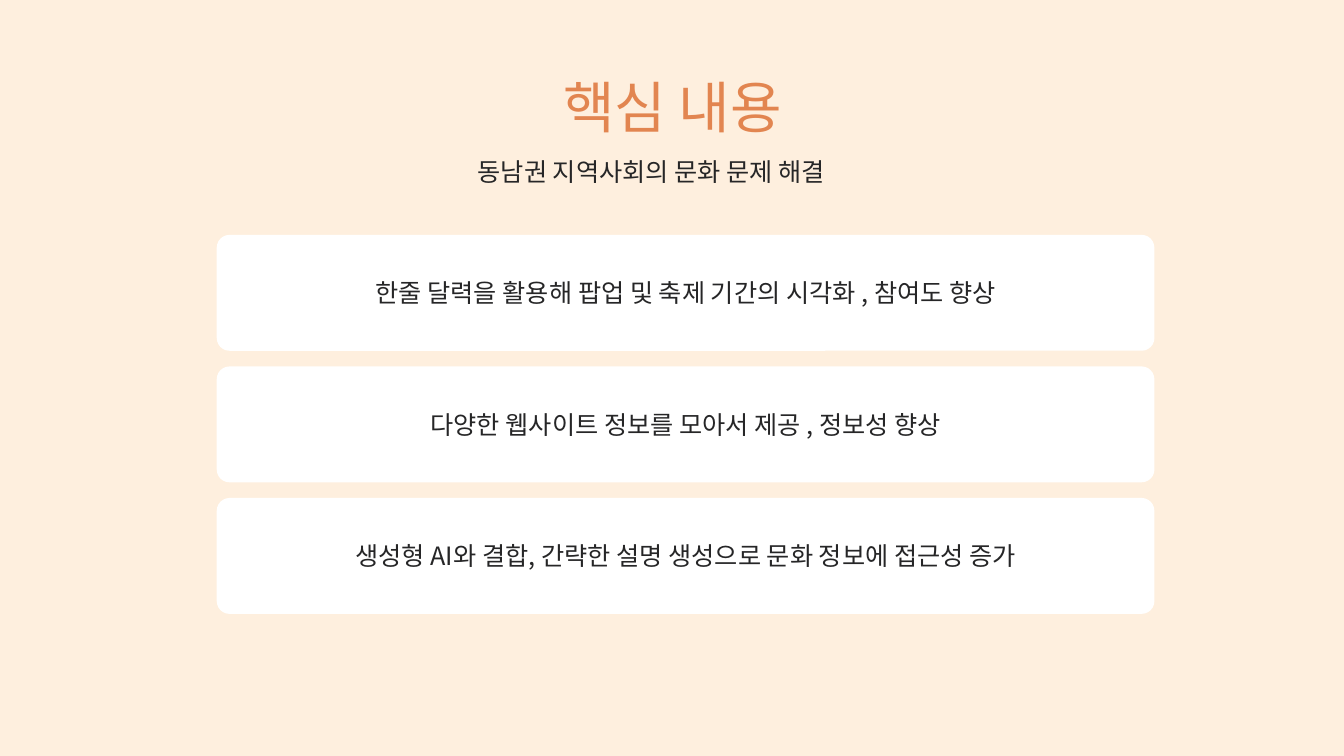
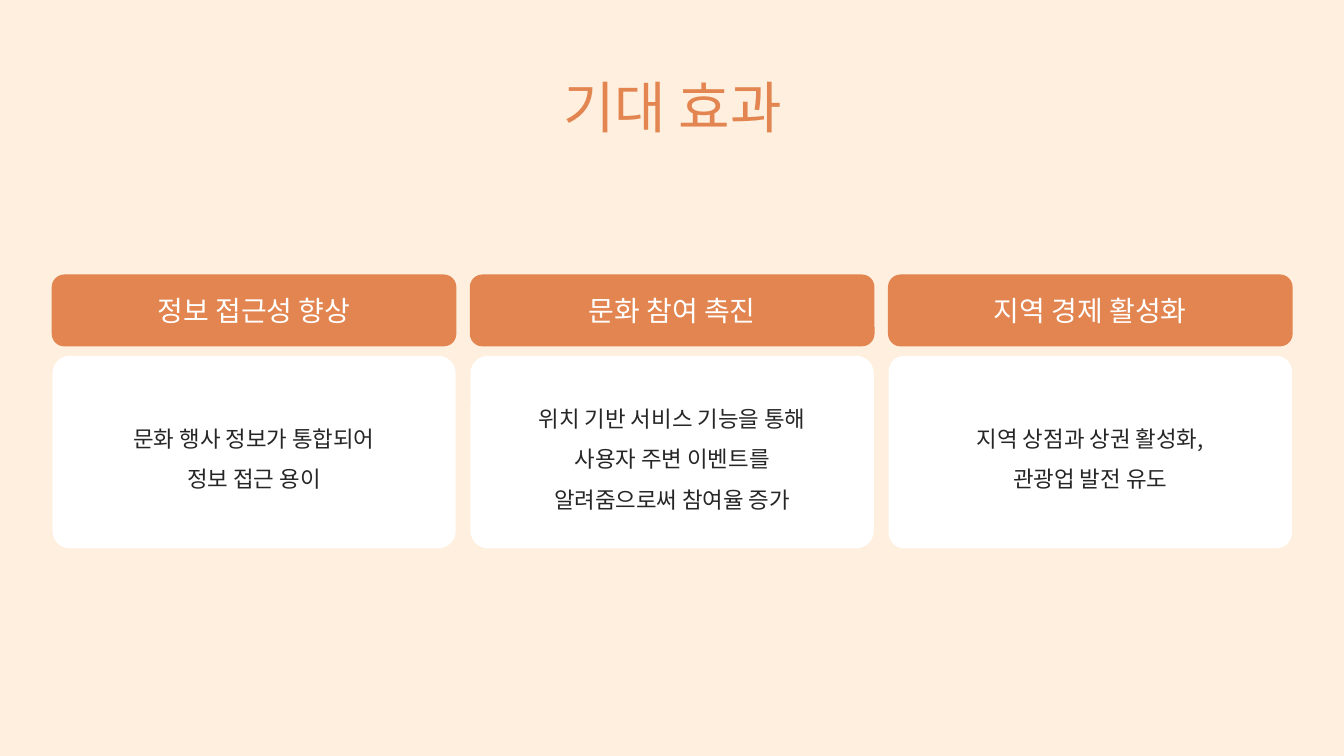
from typing import NamedTuple

from lxml.etree import SubElement
from pptx import Presentation
from pptx.dml.color import RGBColor
from pptx.enum.shapes import MSO_SHAPE
from pptx.enum.text import MSO_ANCHOR, MSO_AUTO_SIZE, PP_ALIGN
from pptx.oxml.ns import qn
from pptx.presentation import Presentation as Deck
from pptx.slide import Slide
from pptx.text.text import TextFrame
from pptx.util import Inches, Pt

FONT = "Noto Sans CJK KR"
CREAM = RGBColor(0xFE, 0xEF, 0xDE)
ORANGE = RGBColor(0xE2, 0x85, 0x50)
WHITE = RGBColor(0xFF, 0xFF, 0xFF)
INK = RGBColor(0x26, 0x26, 0x27)


class Box(NamedTuple):
    left: float
    top: float
    width: float
    height: float


class Style(NamedTuple):
    size: int
    color: RGBColor
    align: PP_ALIGN = PP_ALIGN.CENTER
    spacing: float | None = None


class Effect(NamedTuple):
    head: str
    lines: list[str]
    corner: float


TITLE = Style(40, ORANGE)
LEAD = Style(18, INK, PP_ALIGN.LEFT)
POINT = Style(18, INK)
HEAD = Style(20, WHITE)
BODY = Style(16, INK, spacing=1.5)

POINTS = [
    "한줄 달력을 활용해 팝업 및 축제 기간의 시각화 , 참여도 향상",
    "다양한 웹사이트 정보를 모아서 제공 , 정보성 향상",
    "생성형 AI와 결합, 간략한 설명 생성으로 문화 정보에 접근성 증가",
]
EFFECTS = [
    Effect("정보 접근성 향상", ["문화 행사 정보가 통합되어", "정보 접근 용이"], 0.09),
    Effect("문화 참여 촉진", ["위치 기반 서비스 기능을 통해", "사용자 주변 이벤트를",
                         "알려줌으로써 참여율 증가"], 0.09),
    Effect("지역 경제 활성화", ["지역 상점과 상권 활성화,", "관광업 발전 유도"], 0.08),
]


def write(frame: TextFrame, lines: list[str], style: Style) -> None:
    for i, line in enumerate(lines):
        para = frame.paragraphs[0] if i == 0 else frame.add_paragraph()
        para.alignment = style.align
        para.line_spacing = style.spacing
        run = para.add_run()
        run.text = line
        run.font.size = Pt(style.size)
        run.font.color.rgb = style.color
        run.font.name = FONT
        SubElement(run.font._element, qn("a:ea"), typeface=FONT)


def add_text(slide: Slide, box: Box, text: str, style: Style, wrap: bool) -> None:
    frame = slide.shapes.add_textbox(*map(Inches, box)).text_frame
    frame.word_wrap = wrap
    frame.auto_size = MSO_AUTO_SIZE.SHAPE_TO_FIT_TEXT
    write(frame, [text], style)


def add_card(slide: Slide, box: Box, lines: list[str], style: Style,
             fill: RGBColor, corner: float, edge: bool = False) -> None:
    card = slide.shapes.add_shape(MSO_SHAPE.ROUNDED_RECTANGLE, *map(Inches, box))
    card.shadow.inherit = False
    card.adjustments[0] = corner
    card.fill.solid()
    card.fill.fore_color.rgb = fill
    if edge:
        card.line.color.rgb = fill
        card.line.width = Pt(1)
    else:
        card.line.fill.background()
    card.text_frame.word_wrap = True
    card.text_frame.vertical_anchor = MSO_ANCHOR.MIDDLE
    write(card.text_frame, lines, style)


def add_slide(deck: Deck, title: str) -> Slide:
    slide = deck.slides.add_slide(deck.slide_layouts[6])
    slide.background.fill.solid()
    slide.background.fill.fore_color.rgb = CREAM
    add_text(slide, Box(5.41, 0.67, 2.52, 0.77), title, TITLE, wrap=False)
    return slide


def add_points(deck: Deck) -> None:
    slide = add_slide(deck, "핵심 내용")
    add_text(slide, Box(4.64, 1.5, 4.05, 0.4), "동남권 지역사회의 문화 문제 해결",
             LEAD, wrap=True)
    top, pitch = 2.33, 1.305
    for i, point in enumerate(POINTS):
        box = Box(2.15, top + i * pitch, 9.3, 1.15)
        add_card(slide, box, [point], POINT, WHITE, 0.11)


def add_effects(deck: Deck) -> None:
    slide = add_slide(deck, "기대 효과")
    left, width, pitch = 0.52, 4, 4.147
    for i, effect in enumerate(EFFECTS):
        x = left + i * pitch
        add_card(slide, Box(x, 2.73, width, 0.7), [effect.head], HEAD, ORANGE,
                 0.17, edge=True)
        add_card(slide, Box(x, 3.53, width, 1.91), effect.lines, BODY, WHITE,
                 effect.corner)


def main() -> None:
    deck = Presentation()
    deck.slide_width = Inches(13.33)
    deck.slide_height = Inches(7.5)
    add_points(deck)
    add_effects(deck)
    deck.save("out.pptx")


if __name__ == "__main__":
    main()
